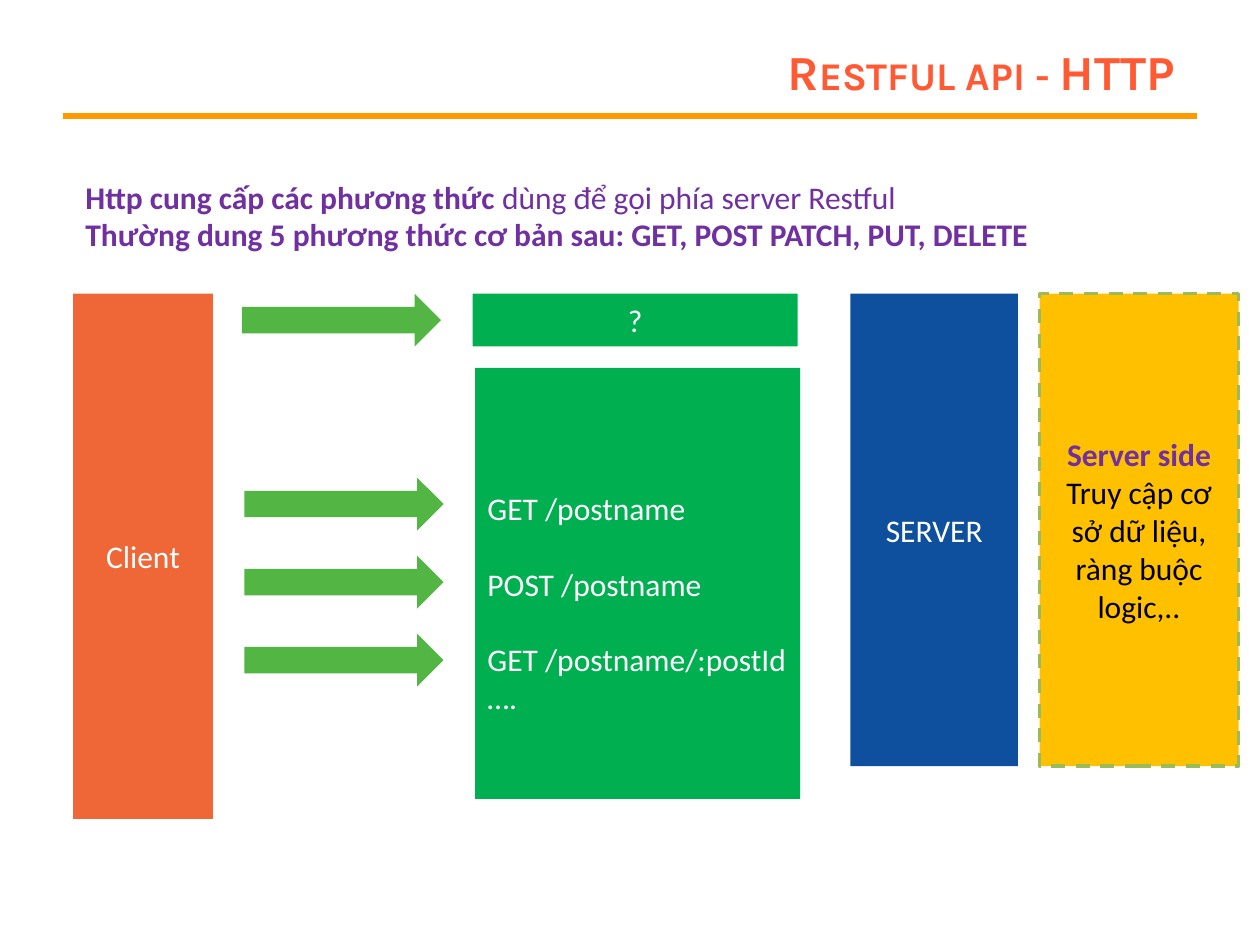
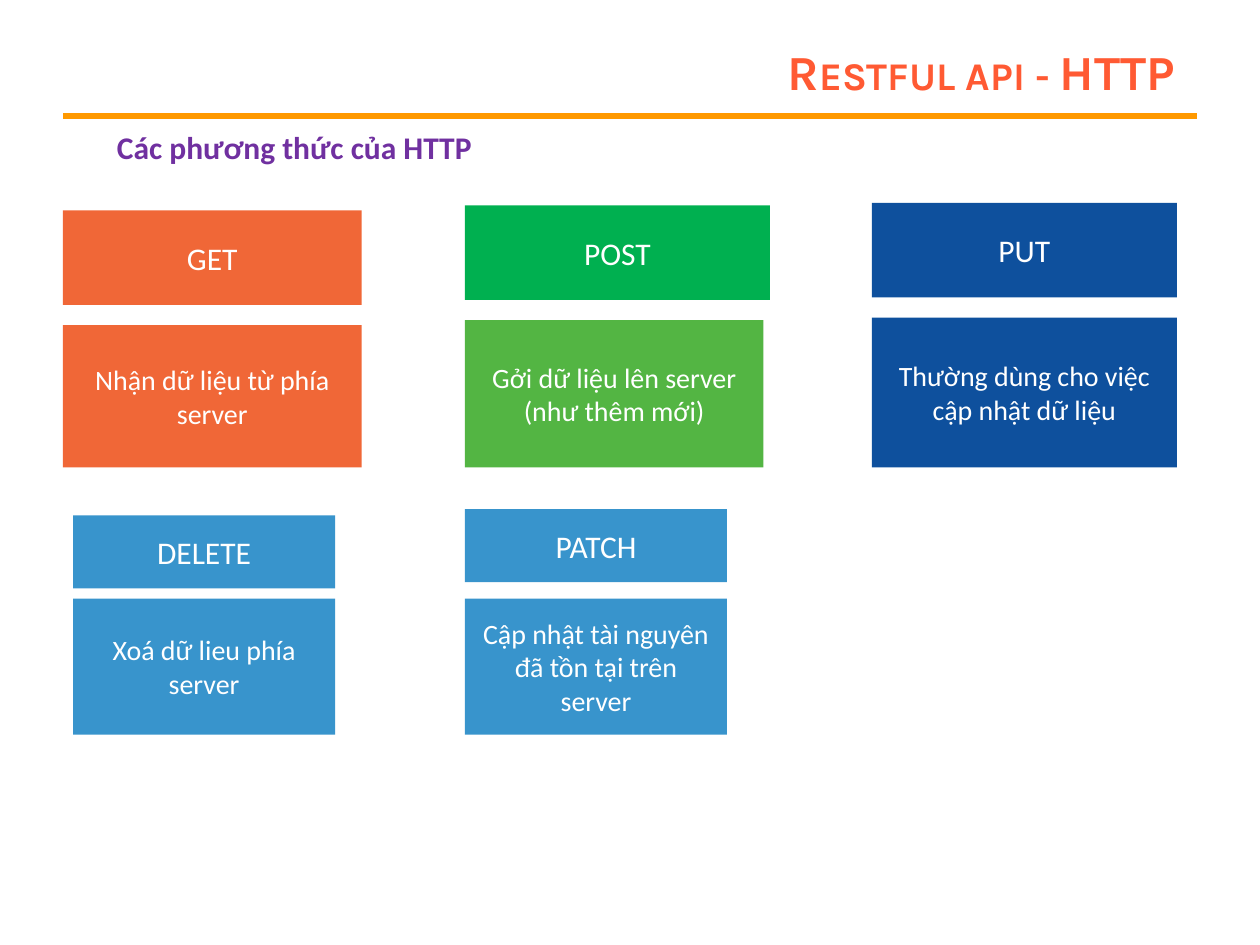
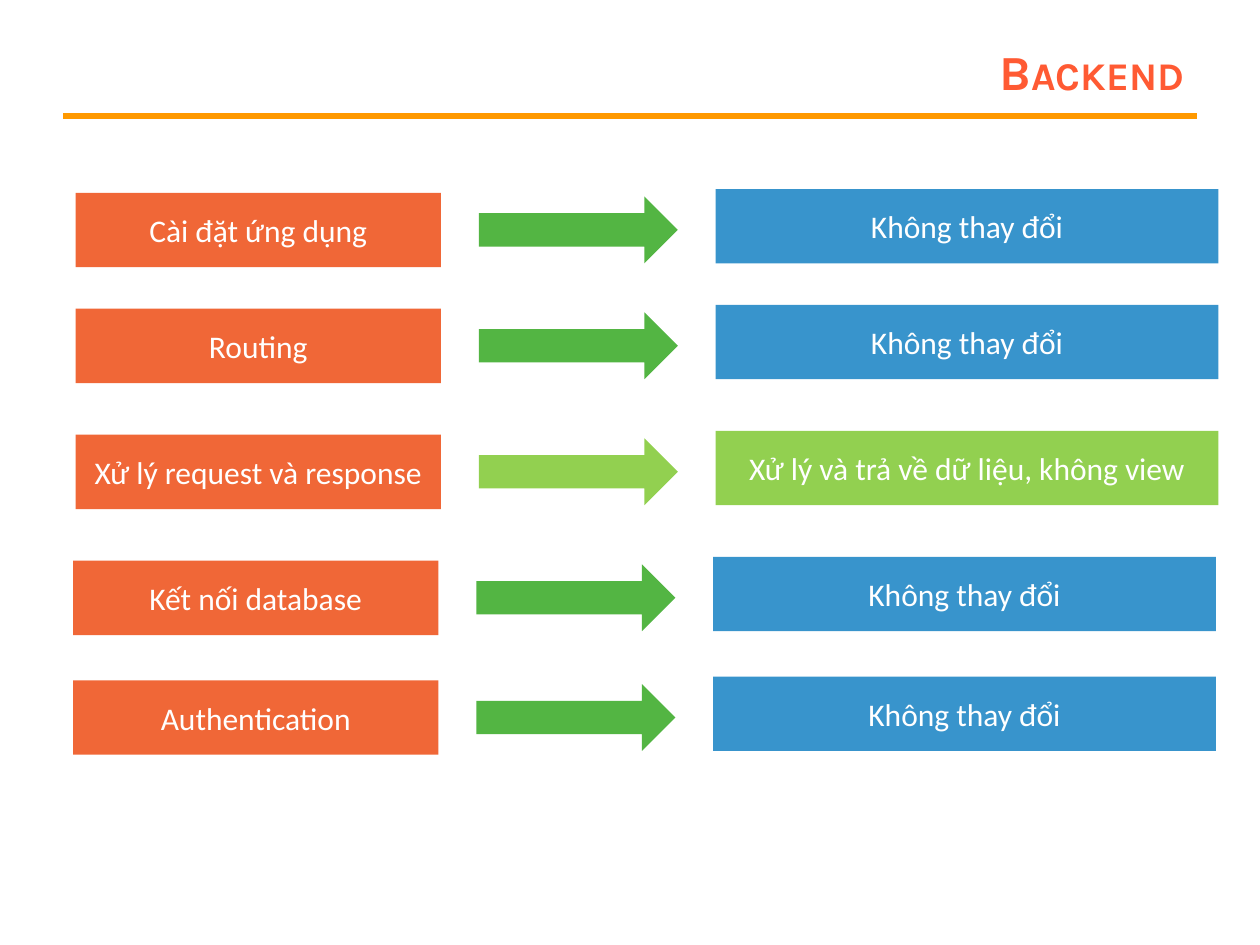
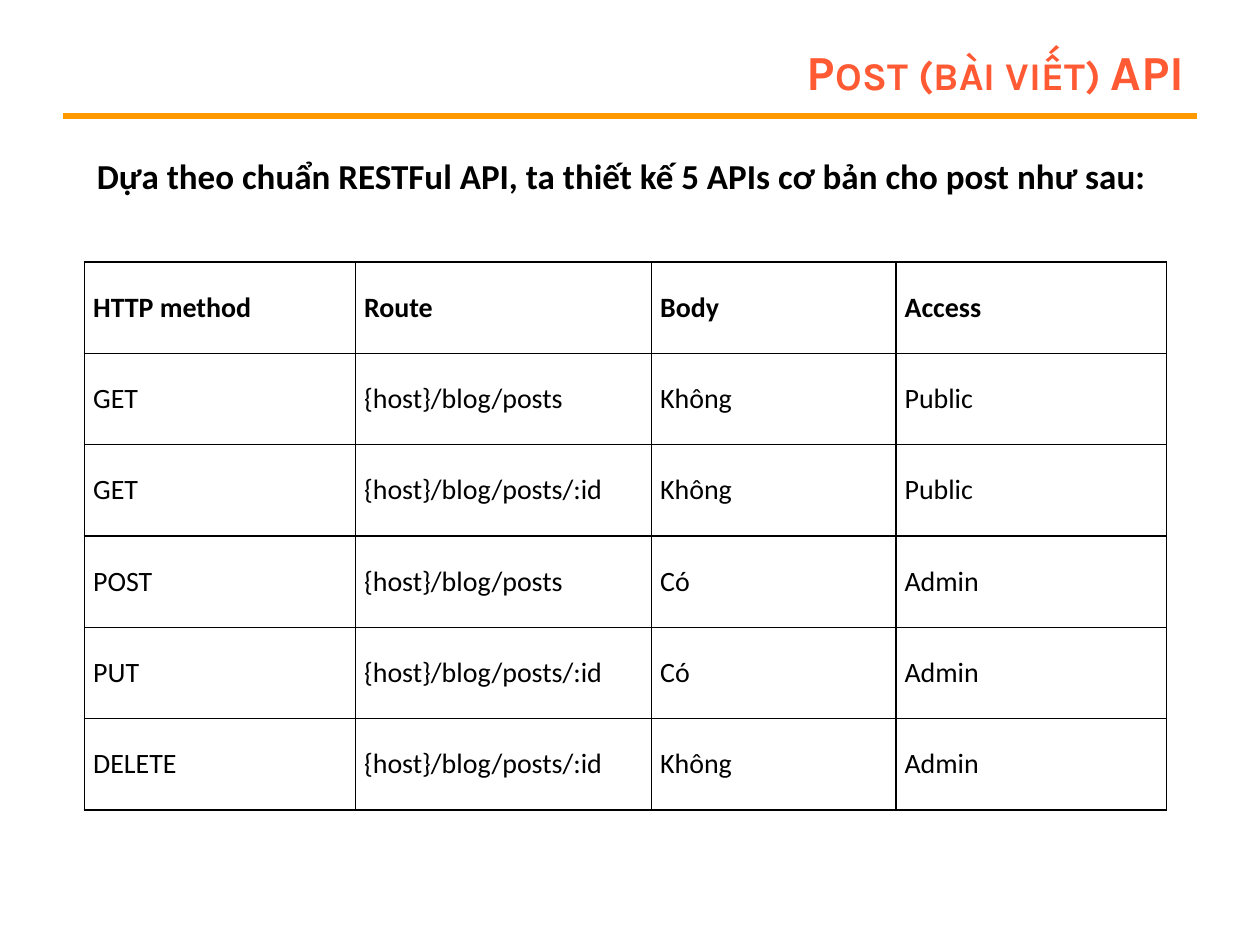
from lxml import etree
from pptx import Presentation
from pptx.dml.color import RGBColor
from pptx.enum.dml import MSO_LINE
from pptx.enum.shapes import MSO_CONNECTOR, MSO_SHAPE
from pptx.enum.text import MSO_ANCHOR, MSO_AUTO_SIZE, PP_ALIGN
from pptx.oxml.ns import qn
from pptx.util import Inches, Pt

RECT, ARROW = MSO_SHAPE.RECTANGLE, MSO_SHAPE.RIGHT_ARROW
STRAIGHT, DASH = MSO_CONNECTOR.STRAIGHT, MSO_LINE.DASH
LEFT, CENTER, RIGHT = PP_ALIGN.LEFT, PP_ALIGN.CENTER, PP_ALIGN.RIGHT
TOP, MIDDLE = MSO_ANCHOR.TOP, MSO_ANCHOR.MIDDLE
FIT_SHAPE = MSO_AUTO_SIZE.SHAPE_TO_FIT_TEXT

WHITE = RGBColor(0xFF, 0xFF, 0xFF)
BLACK = RGBColor(0x00, 0x00, 0x00)
TITLE_ORANGE = RGBColor(0xFF, 0x5A, 0x33)
RULE_ORANGE = RGBColor(0xFF, 0x99, 0x00)
ORANGE = RGBColor(0xF0, 0x67, 0x37)
GREEN = RGBColor(0x00, 0xB0, 0x50)
LEAF = RGBColor(0x53, 0xB5, 0x43)
LIME = RGBColor(0x92, 0xD0, 0x50)
OLIVE = RGBColor(0x9B, 0xBB, 0x59)
NAVY = RGBColor(0x0E, 0x50, 0x9D)
BLUE = RGBColor(0x38, 0x94, 0xCC)
GOLD = RGBColor(0xFF, 0xC0, 0x00)
PURPLE = RGBColor(0x70, 0x30, 0xA0)

TITLE = dict(name="Karla", size=Pt(28), bold=True, color=TITLE_ORANGE)
BODY = dict(name="Calibri", size=Pt(18), bold=False, color=WHITE)
SMALL = BODY | dict(size=Pt(16))
NOTE = BODY | dict(color=PURPLE)
NOTE_BOLD = NOTE | dict(bold=True)
LEAD = BODY | dict(size=Pt(20), bold=True, color=BLACK)
CELL = SMALL | dict(color=BLACK)


def inches(*values):
    return [Inches(v) for v in values]


def add_run(p, text, style):
    r = p.add_run()
    r.text = text
    for key, value in style.items():
        if key == "color":
            r.font.color.rgb = value
        else:
            setattr(r.font, key, value)
    return r


def write(tf, paragraphs, align=LEFT, anchor=MIDDLE):
    """Fill a frame; each paragraph is a list of (text, style) runs."""
    tf.word_wrap = True
    tf.vertical_anchor = anchor
    for i, runs in enumerate(paragraphs):
        p = tf.add_paragraph() if i else tf.paragraphs[0]
        p.alignment = align
        for text, style in runs:
            add_run(p, text, style)


def add_block(s, box, fill, paragraphs=(), kind=RECT, align=CENTER):
    sp = s.shapes.add_shape(kind, *inches(*box))
    sp.shadow.inherit = False
    sp.fill.solid()
    sp.fill.fore_color.rgb = fill
    sp.line.fill.background()
    write(sp.text_frame, paragraphs, align)
    return sp


def add_label(s, box, fill, text, style=BODY):
    return add_block(s, box, fill, [[(text, style)]])


def add_arrow(s, box, fill=LEAF):
    return add_block(s, box, fill, kind=ARROW)


def add_text(s, box, paragraphs):
    tf = s.shapes.add_textbox(*inches(*box)).text_frame
    write(tf, paragraphs, anchor=TOP)
    tf.auto_size = FIT_SHAPE


def new_slide(prs, title):
    """Add a blank slide with the shared rule and small-caps title."""
    s = prs.slides.add_slide(prs.slide_layouts[6])
    rule = s.shapes.add_connector(STRAIGHT, *inches(0.5, 0.92, 9.5, 0.92))
    rule.line.color.rgb = RULE_ORANGE
    rule.line.width = Pt(3)
    etree.SubElement(rule._element.spPr, qn("a:effectLst"))

    tf = s.shapes.add_textbox(*inches(2.25, 0.3, 7.25, 0.53)).text_frame
    write(tf, [[(title, TITLE)]], RIGHT)
    tf.paragraphs[0].runs[0].font._element.set("cap", "small")
    return s


def request_column(s, left, top):
    """The arrows and the requests they lead to."""
    arrow_w, arrow_h = 1.58, 0.42
    add_arrow(s, (left, top, arrow_w, arrow_h))
    for i in range(3):
        add_arrow(s, (left + 0.02, top + 1.46 + 0.62 * i, arrow_w, arrow_h))
    add_label(s, (left + 1.83, top, 2.58, arrow_h), GREEN, "?")
    lines = ["GET /postname", "POST /postname", "GET /postname/:postId", "…."]
    requests = add_block(s, (left + 1.85, top + 0.59, 2.58, 3.42), GREEN,
                         [[(line, BODY)] for line in lines], align=LEFT)
    for p in requests.text_frame.paragraphs[:-1]:
        p.line_spacing = 2.0


def server_column(s, left, top, height):
    add_label(s, (left, top, 1.33, height), NAVY, "SERVER")
    side = add_block(s, (left + 1.5, top, 1.58, height), GOLD, [
        [("Server side", NOTE_BOLD)],
        [("Truy cập cơ sở dữ liệu, ràng buộc logic,..", BODY | dict(color=BLACK))],
    ])
    side.line.color.rgb = OLIVE
    side.line.width = Pt(2)
    side.line.dash_style = DASH


def flow_slide(prs):
    s = new_slide(prs, "Restful api - HTTP ")
    add_text(s, (0.58, 1.36, 8, 0.71), [
        [("Http cung cấp các phương thức ", NOTE_BOLD),
         ("dùng để gọi phía server Restful", NOTE)],
        [("Thường dung 5 phương thức cơ bản sau: GET, POST PATCH, PUT, DELETE",
          NOTE_BOLD)],
    ])
    top = 2.33
    add_label(s, (0.58, top, 1.11, 4.17), ORANGE, "Client")
    request_column(s, 1.92, top)
    server_column(s, 6.75, top, 3.75)


def method_card(s, box, head_h, gap, fills, name, purpose, body_w=None):
    left, top, width, height = box
    head_fill, body_fill = fills
    add_label(s, (left, top, width, head_h), head_fill, name)
    offset = head_h + gap
    add_label(s, (left, top + offset, body_w or width, height - offset),
              body_fill, purpose, SMALL)


def methods_slide(prs):
    s = new_slide(prs, "Restful api - HTTP ")
    add_text(s, (0.83, 0.97, 8, 0.4), [[("Các phương thức của HTTP", NOTE_BOLD)]])
    cards = [
        ((0.5, 1.67, 2.37, 2.04), 0.75, 0.16, (ORANGE, ORANGE),
         "GET", "Nhận dữ liệu từ phía server"),
        ((3.69, 1.63, 2.42, 2.08), 0.75, 0.16, (GREEN, LEAF),
         "POST", "Gởi dữ liệu lên server (như thêm mới)", 2.37),
        ((6.92, 1.61, 2.42, 2.1), 0.75, 0.16, (NAVY, NAVY),
         "PUT", "Thường dùng cho việc cập nhật dữ liệu"),
        ((0.58, 4.09, 2.08, 1.74), 0.58, 0.08, (BLUE, BLUE),
         "DELETE", "Xoá dữ lieu phía server"),
        ((3.69, 4.04, 2.08, 1.79), 0.58, 0.13, (BLUE, BLUE),
         "PATCH", "Cập nhật tài nguyên đã tồn tại trên server"),
    ]
    for card in cards:
        method_card(s, *card)


def step_row(s, left, top, step, result, arrow_fill, result_fill):
    height = 0.59
    add_label(s, (left, top + 0.03, 2.9, height), ORANGE, step)
    add_arrow(s, (left + 3.2, top + 0.06, 1.58, 0.53), arrow_fill)
    add_label(s, (left + 5.08, top, 3.99, height), result_fill, result)


def backend_slide(prs):
    s = new_slide(prs, "Backend")
    same = ("Không thay đổi", LEAF, BLUE)
    changed = ("Xử lý và trả về dữ liệu, không view", LIME, LIME)
    rows = [
        (0.6, 1.5, "Cài đặt ứng dụng", *same),
        (0.6, 2.42, "Routing", *same),
        (0.6, 3.42, "Xử lý request và response", *changed),
        (0.58, 4.42, "Kết nối database", *same),
        (0.58, 5.37, "Authentication", *same),
    ]
    for row in rows:
        step_row(s, *row)


def border_cell(cell):
    tc_pr = cell._tc.get_or_add_tcPr()
    for side in ("lnL", "lnR", "lnT", "lnB"):
        ln = etree.SubElement(tc_pr, qn(f"a:{side}"), w=str(Pt(1)))
        fill = etree.SubElement(ln, qn("a:solidFill"))
        etree.SubElement(fill, qn("a:srgbClr"), val=str(BLACK))


def route_table(s, box, widths, rows):
    table = s.shapes.add_table(len(rows), len(widths), *inches(*box)).table
    table.first_row = table.horz_banding = False
    for column, width in zip(table.columns, widths):
        column.width = Inches(width)
    margins = dict(margin_left=0.07, margin_right=0.07,
                   margin_top=0, margin_bottom=0)
    for i, row in enumerate(rows):
        for j, text in enumerate(row):
            cell = table.cell(i, j)
            border_cell(cell)
            cell.fill.background()
            for key, value in margins.items():
                setattr(cell, key, Inches(value))
            cell.vertical_anchor = MIDDLE
            add_run(cell.text_frame.paragraphs[0], text, CELL | dict(bold=i == 0))


def post_api_slide(prs):
    s = new_slide(prs, "Post (bài viết) API")
    posts, one_post = "{host}/blog/posts", "{host}/blog/posts/:id"
    route_table(s, (0.67, 2.08, 8.59, 4.35), (2.15, 2.35, 1.94, 2.15), [
        ("HTTP method", "Route", "Body", "Access"),
        ("GET", posts, "Không", "Public"),
        ("GET", one_post, "Không", "Public"),
        ("POST", posts, "Có", "Admin"),
        ("PUT", one_post, "Có", "Admin"),
        ("DELETE", one_post, "Không", "Admin"),
    ])
    add_text(s, (0.67, 1.18, 8.83, 0.44), [
        [("Dựa theo chuẩn RESTFul API, ta thiết kế 5 APIs cơ bản cho post như sau:",
          LEAD)],
    ])


def main():
    prs = Presentation()
    prs.slide_width, prs.slide_height = inches(10, 7.5)
    for build in (flow_slide, methods_slide, backend_slide, post_api_slide):
        build(prs)
    prs.save("out.pptx")


if __name__ == "__main__":
    main()
